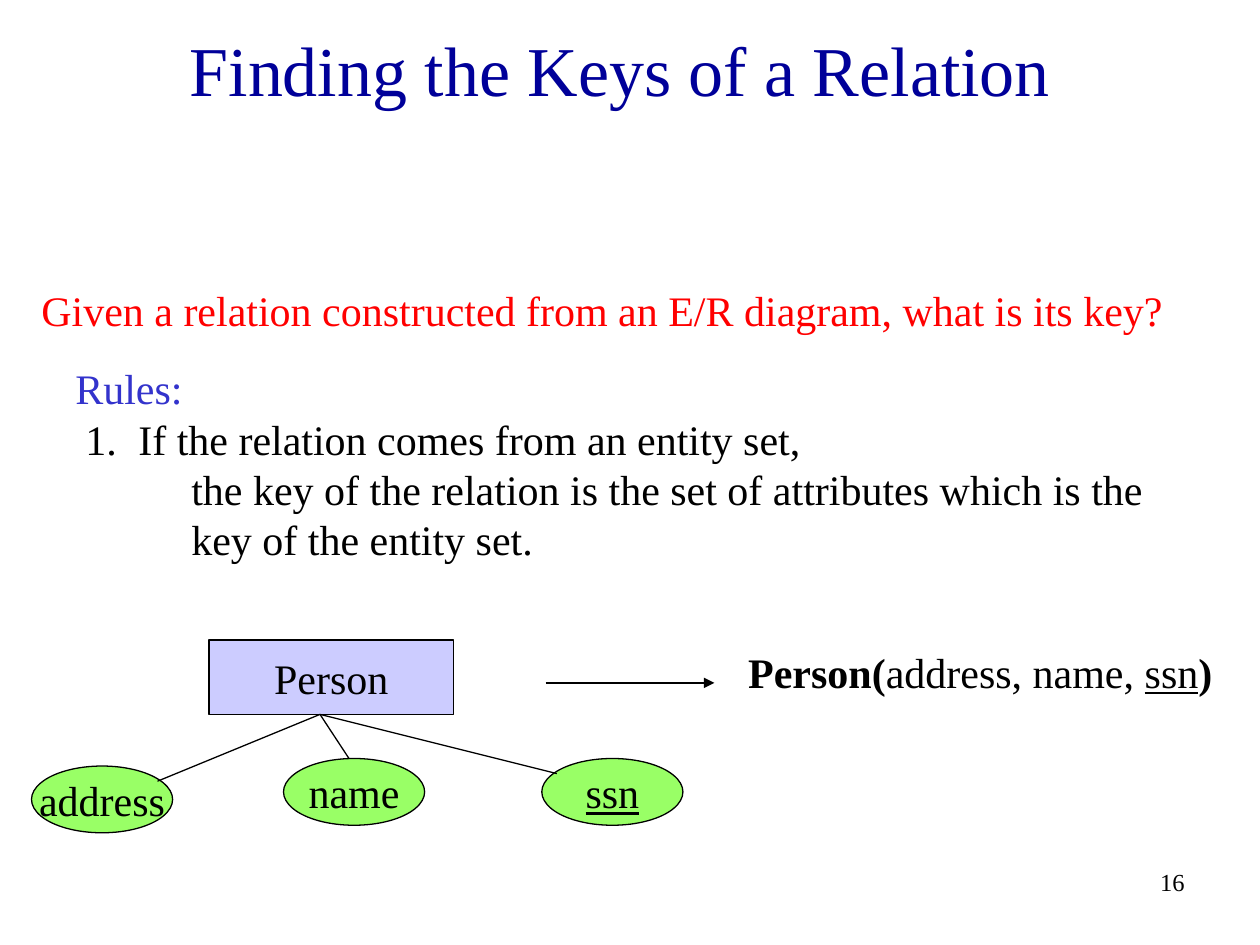
from pptx import Presentation
from pptx.dml.color import RGBColor
from pptx.enum.shapes import MSO_CONNECTOR as Connector, MSO_SHAPE as Shape
from pptx.enum.text import MSO_ANCHOR as Anchor, PP_ALIGN as Align
from pptx.oxml.ns import qn
from pptx.util import Inches, Pt
from lxml.etree import SubElement

BLACK = RGBColor(0x00, 0x00, 0x00)
NAVY = RGBColor(0x00, 0x00, 0x99)
RED = RGBColor(0xFF, 0x00, 0x00)
BLUE = RGBColor(0x33, 0x33, 0xCC)
LILAC = RGBColor(0xCC, 0xCC, 0xFF)
GREEN = RGBColor(0x99, 0xFF, 0x66)

FONT = "Times New Roman"
LINE_PITCH = Pt(28.8)


def add_run(paragraph, text, size=24, color=BLACK, **formats):
    run = paragraph.add_run()
    run.text = text
    run.font.color.rgb = color
    for name, value in {"name": FONT, "size": Pt(size), **formats}.items():
        setattr(run.font, name, value)


def add_text_box(slide, box, **formats):
    frame = slide.shapes.add_textbox(*map(Inches, box)).text_frame
    for name, value in {"word_wrap": True, **formats}.items():
        setattr(frame, name, value)
    return frame


def add_line(slide, start, end, arrow=False):
    line = slide.shapes.add_connector(Connector.STRAIGHT, *map(Inches, start + end))
    line.line.color.rgb = BLACK
    line.line.width = Pt(0.75)
    properties = line._element.spPr
    if arrow:
        SubElement(properties.find(qn("a:ln")), qn("a:tailEnd"), type="triangle")
    SubElement(properties, qn("a:effectLst"))


def add_node(slide, kind, box, text, fill, **formats):
    node = slide.shapes.add_shape(kind, *map(Inches, box))
    node.shadow.inherit = False
    node.fill.solid()
    node.fill.fore_color.rgb = fill
    node.line.color.rgb = BLACK
    node.line.width = Pt(0.75)
    frame = node.text_frame
    frame.word_wrap = False
    frame.vertical_anchor = Anchor.MIDDLE
    frame.paragraphs[0].alignment = Align.CENTER
    add_run(frame.paragraphs[0], text, **formats)


def add_title(slide, box):
    paragraph = add_text_box(slide, box, vertical_anchor=Anchor.MIDDLE).paragraphs[0]
    paragraph.alignment = Align.CENTER
    add_run(paragraph, "Finding the Keys of a Relation", 40, NAVY)


def add_question(slide, box):
    paragraph = add_text_box(slide, box).paragraphs[0]
    paragraph.line_spacing = LINE_PITCH
    add_run(paragraph, "Given a relation constructed from an E/R diagram, what is its key?", color=RED)


def add_rules(slide, box):
    frame = add_text_box(slide, box)
    # Text, colour, left margin, first-line indent, numbered
    rules = [
        ("Rules:", BLUE, 0, 0, False),
        ("If the relation comes from an entity set,", BLACK, 0.5, -0.42, True),
        ("the key of the relation is the set of attributes which is the", BLACK, 0.92, 0, False),
        ("key of the entity set.", BLACK, 0.92, 0, False),
    ]
    for index, (text, color, margin, indent, numbered) in enumerate(rules):
        paragraph = frame.add_paragraph() if index else frame.paragraphs[0]
        paragraph.line_spacing = LINE_PITCH
        properties = paragraph._p.get_or_add_pPr()
        properties.set("marL", str(Inches(margin)))
        properties.set("indent", str(Inches(indent)))
        if numbered:
            SubElement(properties, qn("a:buFont"), typeface=FONT)
            SubElement(properties, qn("a:buAutoNum"), type="arabicPeriod")
        add_run(paragraph, text, color=color)


def add_entity_diagram(slide, left, top):
    # Entity set
    add_node(slide, Shape.RECTANGLE, (left + 1.41, top, 1.94, 0.59), "Person", LILAC)

    # Attributes, each with the point where its line ends
    hub = (left + 2.29, top + 0.59)
    attributes = [
        ("address", 0, 1, (1, 1.12), False),
        ("name", 2, 0.94, (2.52, 0.94), False),
        ("ssn", 4.05, 0.94, (4.17, 1.06), True),
    ]
    for text, x, y, (end_x, end_y), is_key in attributes:
        add_node(slide, Shape.OVAL, (left + x, top + y, 1.12, 0.53), text, GREEN, underline=is_key)
        add_line(slide, hub, (left + end_x, top + end_y))


def add_schema(slide, box):
    paragraph = add_text_box(slide, box).paragraphs[0]
    paragraph.line_spacing = LINE_PITCH
    add_run(paragraph, "Person(", bold=True)
    add_run(paragraph, "address, name, ")
    add_run(paragraph, "ssn", underline=True)
    add_run(paragraph, ")", bold=True)


def add_slide_number(slide, box):
    paragraph = add_text_box(slide, box).paragraphs[0]
    paragraph.alignment = Align.RIGHT
    add_run(paragraph, "16", 14)


def main():
    presentation = Presentation()
    presentation.slide_width = Inches(10)
    presentation.slide_height = Inches(7.5)
    slide = presentation.slides.add_slide(presentation.slide_layouts[6])

    add_title(slide, (0.17, 0.17, 9.5, 0.75))
    add_question(slide, (0.23, 2.21, 9.3, 0.5))
    add_rules(slide, (0.5, 2.83, 8.8, 1.7))
    add_entity_diagram(slide, 0.25, 5.08)
    add_line(slide, (4.33, 5.42), (5.67, 5.42), arrow=True)
    add_schema(slide, (5.84, 5.08, 4, 0.5))
    add_slide_number(slide, (7.42, 6.83, 2.08, 0.5))
    presentation.save("out.pptx")


if __name__ == "__main__":
    main()
